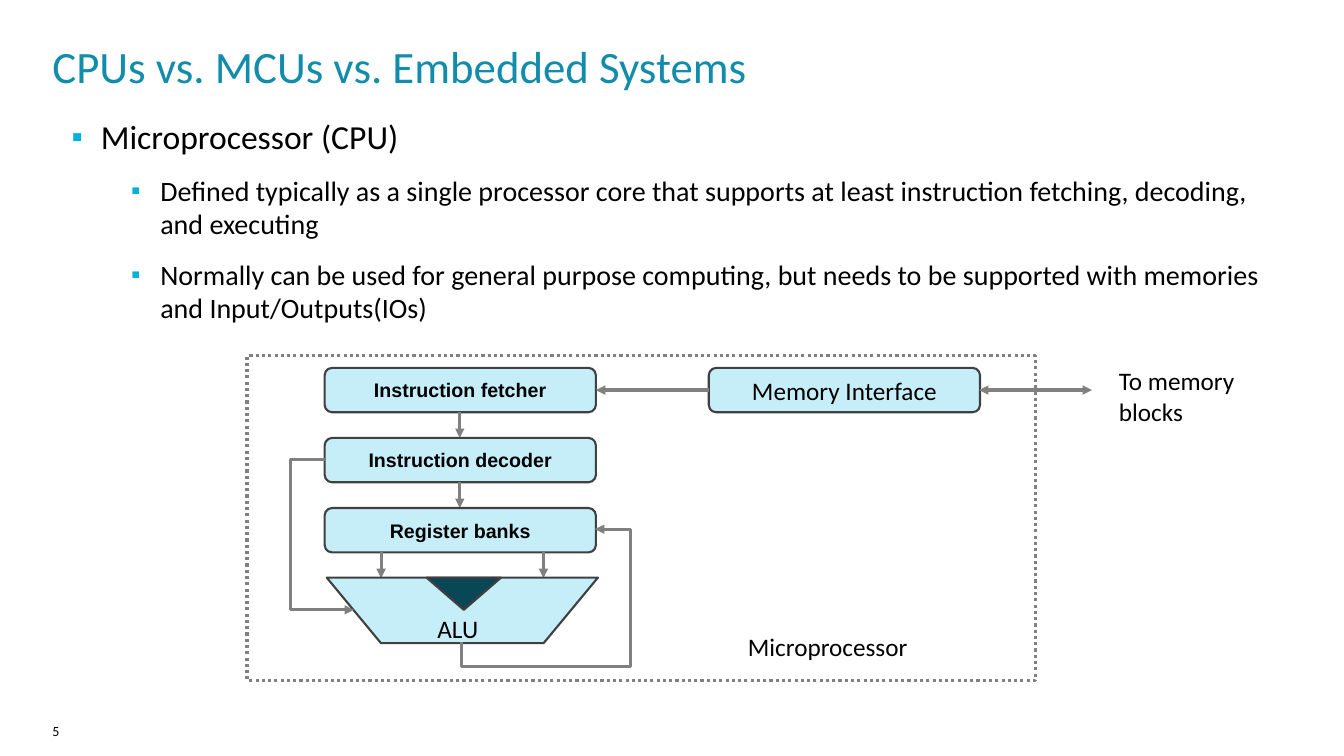
from lxml import etree
from pptx import Presentation
from pptx.dml.color import RGBColor
from pptx.enum.dml import MSO_LINE
from pptx.enum.shapes import MSO_CONNECTOR, MSO_SHAPE
from pptx.enum.text import MSO_ANCHOR, PP_ALIGN
from pptx.oxml.ns import qn
from pptx.util import Inches, Pt

RECT, ROUNDED = MSO_SHAPE.RECTANGLE, MSO_SHAPE.ROUNDED_RECTANGLE
TRAPEZOID, TRIANGLE = MSO_SHAPE.FLOWCHART_MANUAL_OPERATION, MSO_SHAPE.ISOSCELES_TRIANGLE
STRAIGHT, ELBOW = MSO_CONNECTOR.STRAIGHT, MSO_CONNECTOR.ELBOW
DOTTED = MSO_LINE.ROUND_DOT
MIDDLE, TOP = MSO_ANCHOR.MIDDLE, MSO_ANCHOR.TOP
LEFT, CENTER = PP_ALIGN.LEFT, PP_ALIGN.CENTER

COLORS = {"title": "128CAB", "text": "000000", "bullet": "00B1DB", "box": "C5EEF9",
          "outline": "404040", "wire": "808080", "notch": "094656", "white": "FFFFFF"}


def rgb(name):
    return RGBColor.from_string(COLORS[name])


def write(p, text, size=18, font="Calibri", color="text", bold=False, align=LEFT):
    p.alignment = align
    r = p.add_run()
    r.text = text
    r.font.size, r.font.name, r.font.bold = Pt(size), font, bold
    r.font.color.rgb = rgb(color)


def add(parent, tag, **attrs):
    return etree.SubElement(parent, qn(tag), **attrs)


class Deck:
    def __init__(self):
        self.prs = Presentation()
        self.prs.slide_width, self.prs.slide_height = Inches(13.33), Inches(7.5)
        self.s = self.prs.slides.add_slide(self.prs.slide_layouts[5])

    def title(self, text, x, y, w, h):
        sp = self.s.shapes.title
        sp.left, sp.top, sp.width, sp.height = map(Inches, (x, y, w, h))
        tf = self.frame(sp, inset=0, anchor=MIDDLE)
        tf.paragraphs[0].line_spacing = 0.9
        write(tf.paragraphs[0], text, size=32, color="title")

    def frame(self, sp, inset=None, anchor=TOP, wrap=True):
        tf = sp.text_frame
        tf.word_wrap, tf.vertical_anchor = wrap, anchor
        if inset is not None:
            tf.margin_left = tf.margin_right = tf.margin_top = tf.margin_bottom = Inches(inset)
        return tf

    def label(self, lines, x, y, w, h, inset=None, **fmt):
        tf = self.frame(self.s.shapes.add_textbox(*map(Inches, (x, y, w, h))), inset)
        for i, line in enumerate(lines):
            write(tf.add_paragraph() if i else tf.paragraphs[0], line, **fmt)

    def bullets(self, items, x, y, w, h):
        tf = self.frame(self.s.shapes.add_textbox(*map(Inches, (x, y, w, h))), inset=0)
        for i, (level, text) in enumerate(items):
            p = tf.add_paragraph() if i else tf.paragraphs[0]
            p.level, p.space_before = level, Pt(12)
            write(p, text, size=(24, 20)[level])
            pPr = p._p.get_or_add_pPr()
            pPr.set("marL", str(Inches((0.29, 0.88)[level])))
            pPr.set("indent", str(Inches(-0.29)))
            add(add(pPr, "a:buClr"), "a:srgbClr", val=COLORS["bullet"])
            add(pPr, "a:buSzPct", val="95000")
            add(pPr, "a:buFont", typeface="Arial")
            add(pPr, "a:buChar", char="▪")

    def shape(self, kind, x, y, w, h, fill="box", line="outline", width=1.5, text="", **fmt):
        sp = self.s.shapes.add_shape(kind, *map(Inches, (x, y, w, h)))
        sp.shadow.inherit = False
        sp.fill.solid()
        sp.fill.fore_color.rgb = rgb(fill)
        sp.line.color.rgb, sp.line.width = rgb(line), Pt(width)
        if text:
            tf = self.frame(sp, anchor=MIDDLE, wrap=False)
            write(tf.paragraphs[0], text, align=CENTER, **fmt)
        return sp

    def arrow(self, x1, y1, x2, y2, kind=STRAIGHT, both=False):
        c = self.s.shapes.add_connector(kind, *map(Inches, (x1, y1, x2, y2)))
        c.line.color.rgb, c.line.width = rgb("wire"), Pt(2.25)
        ln = c.line._get_or_add_ln()
        if both:
            add(ln, "a:headEnd", type="triangle")
        add(ln, "a:tailEnd", type="triangle")
        add(c._element.spPr, "a:effectLst")
        return c

    def elbow(self, x, y, w, h, turn, bends):
        """Bent arrow, flipped both ways and turned; bends are fractions of its box."""
        spPr = self.arrow(x + w, y + h, x, y, kind=ELBOW)._element.spPr
        spPr.find(qn("a:xfrm")).set("rot", str(turn * 60000))
        geom = spPr.find(qn("a:prstGeom"))
        geom.set("prst", f"bentConnector{len(bends) + 2}")
        avLst = geom.find(qn("a:avLst"))
        for i, bend in enumerate(bends, 1):
            add(avLst, "a:gd", name=f"adj{i}", fmla=f"val {round(bend * 100000)}")


def main():
    d = Deck()
    d.label(["5"], 0.52, 7.17, 1.42, 0.26, inset=0, size=10)

    # Dotted frame of the microprocessor
    d.shape(RECT, 2.45, 3.53, 7.82, 3.22, "white", "wire", 2.25).line.dash_style = DOTTED

    # Title and definition
    d.title("CPUs vs. MCUs vs. Embedded Systems", 0.52, 0.37, 12.2, 0.63)
    d.bullets([
        (0, "Microprocessor (CPU)"),
        (1, "Defined typically as a single processor core that supports at least "
            "instruction fetching, decoding, and executing"),
        (1, "Normally can be used for general purpose computing, but needs to be "
            "supported with memories and Input/Outputs(IOs)"),
    ], 0.71, 1.15, 11.92, 2.4)

    # Instruction pipeline
    x, y, w, h, pitch = 3.22, 3.65, 2.69, 0.44, 0.695
    for i, stage in enumerate(["Instruction fetcher", "Instruction decoder", "Register banks"]):
        top = y + i * pitch
        d.shape(ROUNDED, x, top, w, h, text=stage, size=14, font="Arial", bold=True)
        for ax in ([4.56], [4.56], [3.78, 5.39])[i]:
            d.arrow(ax, top + h, ax, top + pitch)

    # ALU
    d.shape(TRAPEZOID, 3.24, 5.73, w, 0.65)
    d.shape(TRIANGLE, 4.23, 5.73, 0.74, 0.32, "notch").rotation = 180
    d.label(["ALU"], 4.24, 6.04, 1.03, 0.34)
    d.elbow(4.68, 5.15, 1.12, 1.32, 90, [-0.22, 1.27])   # result to registers
    d.elbow(3.22, 4.56, 0.29, 1.49, 180, [-1.16])        # decoder to ALU

    # Memory interface
    d.shape(ROUNDED, 7.03, y, w, h, text="Memory Interface")
    d.arrow(7.03, 3.87, 5.91, 3.87)
    d.arrow(10.83, 3.87, 9.71, 3.87, both=True)
    d.label(["To memory", "blocks"], 11, 3.58, 1.84, 0.57)
    d.label(["Microprocessor"], 7.32, 6.21, 2.4, 0.34)

    d.prs.save("out.pptx")


if __name__ == "__main__":
    main()
